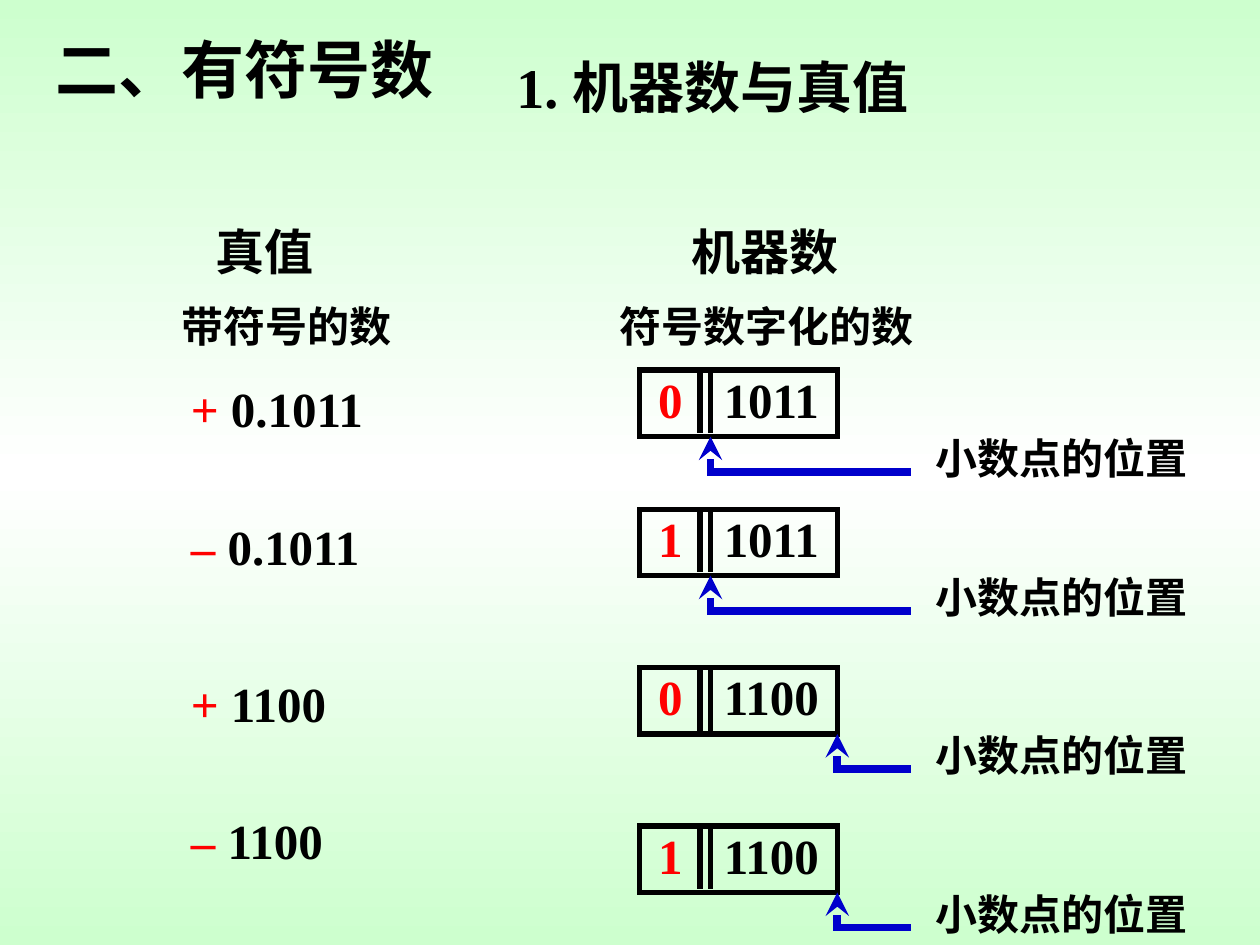
import copy

import pptx
import pptx.dml.color
import pptx.enum.shapes
import pptx.enum.text
import pptx.oxml
import pptx.oxml.ns
import pptx.util

Pt = pptx.util.Pt
FONT = "Times New Roman"
COLORS = {"text": "000000", "sign": "FF0000", "arrow": "0000CC", "edge": "CDFFCE", "middle": "FFFFFF"}
DRAWING = pptx.oxml.ns.nsdecls("a")


def rgb(name):
    """Return the named palette colour."""
    return pptx.dml.color.RGBColor.from_string(COLORS[name])


def paint_background(slide):
    """Fill the slide with a vertical green-white-green gradient."""
    fill = slide.background.fill
    fill.gradient()
    fill.gradient_angle = 90
    stop_list = slide.element.find(".//" + pptx.oxml.ns.qn("a:gsLst"))
    stop_list.insert(1, copy.deepcopy(stop_list[0]))
    for stop, position, color in zip(fill.gradient_stops, (0, 0.5, 1), ("edge", "middle", "edge")):
        stop.position = position
        stop.color.rgb = rgb(color)


def write_runs(shape, parts, size):
    """Write (text, colour) parts as one bold left-aligned line."""
    text_frame = shape.text_frame
    text_frame.word_wrap = False
    text_frame.vertical_anchor = pptx.enum.text.MSO_ANCHOR.TOP
    paragraph = text_frame.paragraphs[0]
    paragraph.alignment = pptx.enum.text.PP_ALIGN.LEFT
    for text, color in parts:
        run = paragraph.add_run()
        run.text = text
        run.font.name = FONT
        run.font.size = Pt(size)
        run.font.bold = True
        run.font.color.rgb = rgb(color)


def add_text(shapes, box, text, size, color="text"):
    """Add a one-colour text box."""
    write_runs(shapes.add_textbox(*map(Pt, box)), [(text, color)], size)


def style_line(shape, color, width):
    """Set the line colour and width, with sharp corners."""
    shape.line.color.rgb = rgb(color)
    shape.line.width = Pt(width)
    shape.line._get_or_add_ln().append(
        pptx.oxml.parse_xml(f'<a:miter {DRAWING} lim="800000"/>'))


def add_title(slide, box, title, subtitle):
    """Place the title and the section heading to its right."""
    left, top, width, height = box
    shape = slide.shapes.title
    shape.left, shape.top, shape.width, shape.height = map(Pt, (left, top, 255, 50))
    write_runs(shape, [(title, "text")], 36)
    add_text(slide.shapes, (left + 263.5, top + 12.5, width - 263.5, 46), subtitle, 32)


def add_column_heading(slide, box, heading, indent, note):
    """Place a column heading above its explanation."""
    left, top, width, height = box
    add_text(slide.shapes, (left + indent, top, width - indent, 41), heading, 28)
    add_text(slide.shapes, (left, top + 45, width, 36), note, 24)


def add_true_value(slide, box, sign, number):
    """Place a signed number with its sign in red."""
    write_runs(slide.shapes.add_textbox(*map(Pt, box)), [(sign, "sign"), (number, "text")], 28)


def add_point_arrow(shapes, start_x, tip_x, tip_y):
    """Draw an elbow arrow up to the position of the binary point."""
    corner_y = tip_y + 20
    builder = shapes.build_freeform(Pt(start_x), Pt(corner_y))
    builder.add_line_segments([(Pt(tip_x), Pt(corner_y)), (Pt(tip_x), Pt(tip_y))], close=False)
    arrow = builder.convert_to_shape()
    arrow.shadow.inherit = False
    arrow.fill.background()
    style_line(arrow, "arrow", 4.5)
    arrow.line._get_or_add_ln().append(
        pptx.oxml.parse_xml(f'<a:tailEnd {DRAWING} type="stealth"/>'))


def add_machine_number(slide, box, sign_bit, bits, is_fraction):
    """Draw a register with a sign bit, and point to its binary point."""
    left, top, width, height = box
    shapes = slide.shapes.add_group_shape().shapes
    add_text(shapes, (left + 3.5, top - 4, 35, 41), sign_bit, 28, "sign")
    add_text(shapes, (left + 41, top - 4, 76, 41), bits, 28)

    frame = shapes.add_shape(pptx.enum.shapes.MSO_SHAPE.RECTANGLE, *map(Pt, box))
    frame.shadow.inherit = False
    frame.fill.background()
    style_line(frame, "text", 3)

    point_x = left + 40.5
    for x in (point_x - 6, point_x):
        divider = shapes.add_connector(
            pptx.enum.shapes.MSO_CONNECTOR.STRAIGHT, Pt(x), Pt(top), Pt(x), Pt(top + height - 2))
        style_line(divider, "text", 3)
        divider.element.spPr.append(pptx.oxml.parse_xml(f"<a:effectLst {DRAWING}/>"))

    add_point_arrow(shapes, left + 155, point_x if is_fraction else left + width, top + height)
    add_text(shapes, (left + 162, top + 32, 180, 36), "小数点的位置", 24)


def main():
    """Build and save the slide."""
    presentation = pptx.Presentation()
    presentation.slide_width, presentation.slide_height = Pt(720), Pt(540)
    slide = presentation.slides.add_slide(presentation.slide_layouts[5])
    paint_background(slide)
    add_title(slide, (24.5, 14, 530, 58), "二、有符号数", "1. 机器数与真值")
    add_column_heading(slide, (96.5, 123, 145, 82), "真值", 19.5, "带符号的数")
    add_column_heading(slide, (347, 123, 195, 82), "机器数", 41, "符号数字化的数")
    rows = [
        (213, "+", " 0.1011", 211.5, "0", "1011", True),
        (291.5, "–", " 0.1011", 291, "1", "1011", True),
        (381.5, "+", " 1100", 381.5, "0", "1100", False),
        (459.5, "– ", "1100", 472, "1", "1100", False),
    ]
    for value_top, sign, number, frame_top, sign_bit, bits, is_fraction in rows:
        add_true_value(slide, (102, value_top, 118, 41), sign, number)
        add_machine_number(slide, (365.5, frame_top, 113, 38), sign_bit, bits, is_fraction)
    presentation.save("out.pptx")


if __name__ == "__main__":
    main()
